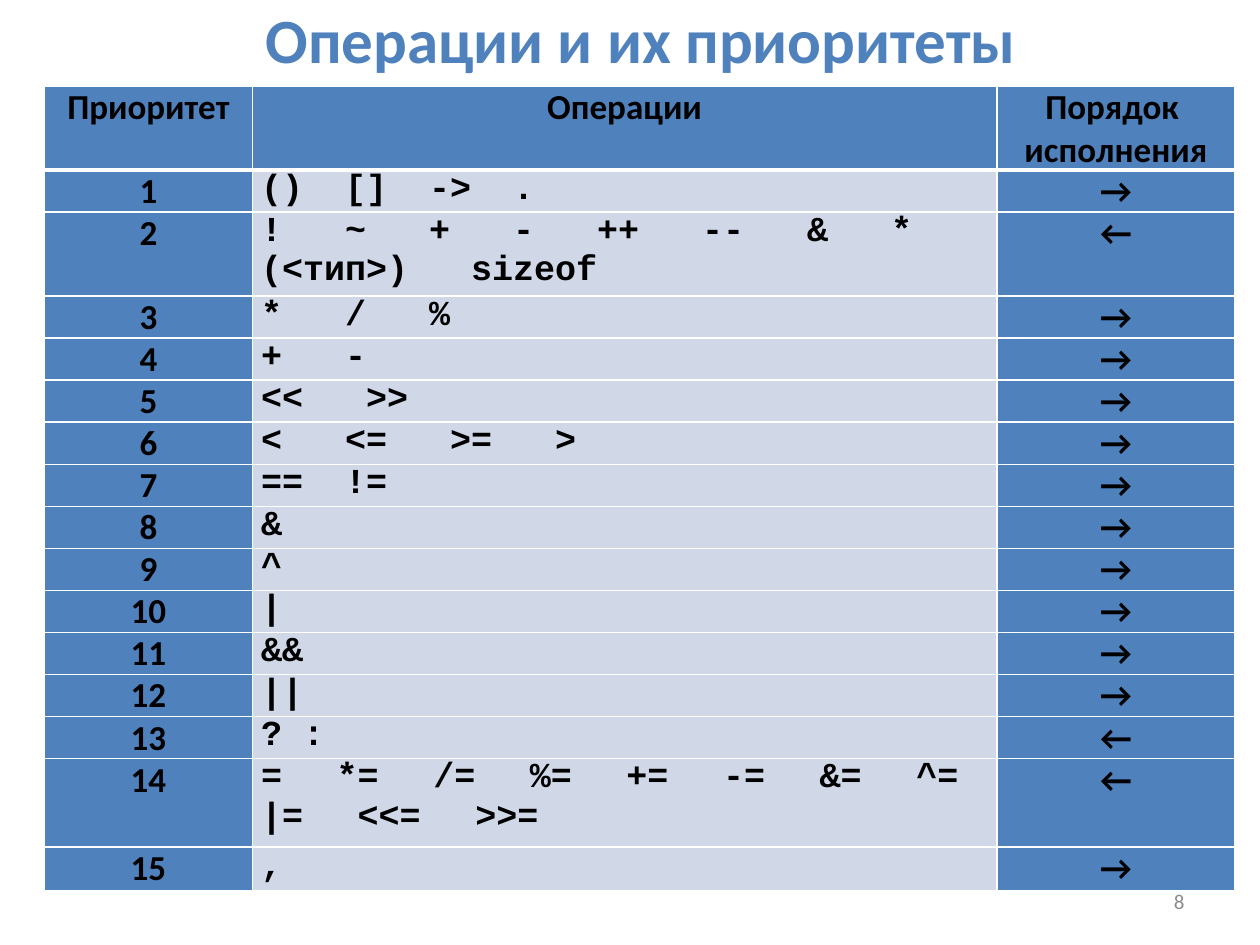
from itertools import accumulate

from lxml.etree import SubElement
from pptx import Presentation
from pptx.dml.color import RGBColor
from pptx.enum.text import MSO_ANCHOR as Anchor, PP_ALIGN as Align
from pptx.oxml.ns import qn
from pptx.util import Pt

BLUE, PALE, WHITE, BLACK, GRAY = "4F81BD", "D0D8E8", "FFFFFF", "000000", "8C8C8C"
CHAR_WIDTH = 12
HEADINGS = [["Приоритет"], ["Операции"], ["Порядок ", "исполнения"]]
COLUMN_WIDTHS = [118.8, 425.5, 136.1]
ROW_HEIGHTS = {0: 39.6, 2: 43.2, 14: 50.4, 15: 25.2}
USUAL_ROW_HEIGHT = 23.04
OPERATIONS = [
    (["() [] -> ."], 2, "→"),
    (["! ~ + - ++ -- & *", "(<тип>) sizeof"], 3, "←"),
    (["* / %"], 3, "→"),
    (["+ -"], 3, "→"),
    (["<< >>"], 3, "→"),
    (["< <= >= >"], 3, "→"),
    (["== !="], 2, "→"),
    (["&"], 3, "→"),
    (["^"], 3, "→"),
    (["|"], 3, "→"),
    (["&&"], 3, "→"),
    (["||"], 3, "→"),
    (["? :"], 1, "←"),
    (["= *= /= %= += -= &= ^=", "|= <<= >>="], 2.6, "←"),
    ([","], 3, "→"),
]


def rgb(color):
    return RGBColor.from_string(color)


def set_all(target, values):
    for name, value in values.items():
        setattr(target, name, value)


def write(frame, lines, size, color, align, bold=True, font="Calibri"):
    for index, line in enumerate(lines):
        paragraph = frame.paragraphs[0] if index == 0 else frame.add_paragraph()
        paragraph.alignment = align
        run = paragraph.add_run()
        run.text = line
        set_all(run.font, {"name": font, "size": Pt(size), "bold": bold})
        run.font.color.rgb = rgb(color)


def add_tab_stops(paragraph, tokens, gap):
    properties = paragraph._p.get_or_add_pPr()
    stops = SubElement(properties, qn("a:tabLst"))
    for position in accumulate(len(token) + gap for token in tokens[:-1]):
        SubElement(stops, qn("a:tab"), pos=str(int(Pt(position * CHAR_WIDTH))), algn="l")


def format_cell(cell, fill, row):
    set_all(cell, {
        "margin_left": Pt(5), "margin_right": Pt(5),
        "margin_top": Pt(0), "margin_bottom": Pt(0),
        "vertical_anchor": Anchor.TOP,
    })
    widths = {"L": 1, "R": 1, "T": 3 if row == 1 else 1, "B": 3 if row == 0 else 1}
    properties = cell._tc.get_or_add_tcPr()
    for side, width in widths.items():
        border = SubElement(properties, qn(f"a:ln{side}"), w=str(int(Pt(width))))
        paint = SubElement(border, qn("a:solidFill"))
        SubElement(paint, qn("a:srgbClr"), val=WHITE)
    cell.fill.solid()
    cell.fill.fore_color.rgb = rgb(fill)


def write_label(cell, lines, row):
    format_cell(cell, BLUE, row)
    write(cell.text_frame, lines, 20, BLACK, Align.CENTER)


def write_operators(cell, lines, gap, row):
    format_cell(cell, PALE, row)
    token_lines = [line.split() for line in lines]
    write(cell.text_frame, ["\t".join(tokens) for tokens in token_lines],
          20, BLACK, Align.LEFT, font="Courier New")
    for paragraph, tokens in zip(cell.text_frame.paragraphs, token_lines):
        if len(tokens) > 1:
            add_tab_stops(paragraph, tokens, gap)


def add_title(slide):
    title = slide.shapes.title
    set_all(title, {"left": Pt(48), "top": Pt(0), "width": Pt(636.5), "height": Pt(43.2)})
    title.text_frame.vertical_anchor = Anchor.MIDDLE
    write(title.text_frame, ["Операции и их приоритеты"], 36, BLUE, Align.CENTER)


def add_page_number(slide):
    number = slide.shapes.add_textbox(Pt(516), Pt(500.5), Pt(168), Pt(28.8))
    set_all(number.text_frame, {"word_wrap": True, "vertical_anchor": Anchor.MIDDLE})
    write(number.text_frame, ["8"], 12, GRAY, Align.RIGHT, bold=False)


def add_priority_table(slide):
    row_count = len(OPERATIONS) + 1
    heights = [ROW_HEIGHTS.get(row, USUAL_ROW_HEIGHT) for row in range(row_count)]
    table = slide.shapes.add_table(
        row_count, len(COLUMN_WIDTHS), Pt(25.4), Pt(49),
        Pt(sum(COLUMN_WIDTHS)), Pt(sum(heights))).table
    for column, width in zip(table.columns, COLUMN_WIDTHS):
        column.width = Pt(width)
    for table_row, height in zip(table.rows, heights):
        table_row.height = Pt(height)
    for column, heading in enumerate(HEADINGS):
        write_label(table.cell(0, column), heading, 0)
    for priority, (operators, gap, direction) in enumerate(OPERATIONS, 1):
        write_label(table.cell(priority, 0), [str(priority)], priority)
        write_operators(table.cell(priority, 1), operators, gap, priority)
        write_label(table.cell(priority, 2), [direction], priority)


def main():
    deck = Presentation()
    set_all(deck, {"slide_width": Pt(720), "slide_height": Pt(540)})
    slide = deck.slides.add_slide(deck.slide_layouts[5])
    add_page_number(slide)
    add_title(slide)
    add_priority_table(slide)
    deck.save("out.pptx")


if __name__ == "__main__":
    main()
